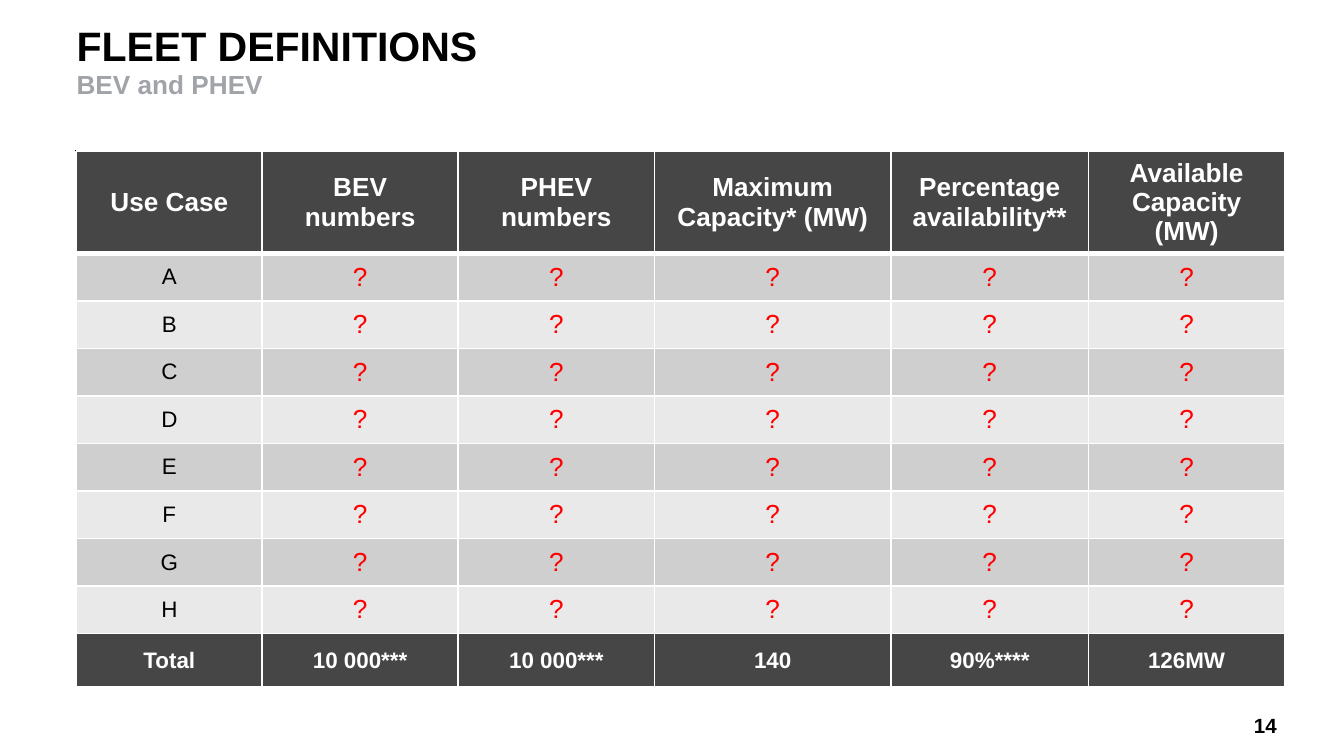
"""Build the fleet definitions slide with its use case table."""
from pptx import Presentation
from pptx.dml.color import RGBColor
from pptx.enum.shapes import MSO_CONNECTOR
from pptx.enum.text import MSO_ANCHOR, MSO_AUTO_SIZE, PP_ALIGN
from pptx.oxml.ns import qn
from pptx.util import Inches, Pt
from lxml.etree import SubElement

BLACK = RGBColor(0x00, 0x00, 0x00)
WHITE = RGBColor(0xFF, 0xFF, 0xFF)
RED = RGBColor(0xFF, 0x00, 0x00)
SUBTITLE_GREY = RGBColor(0xA0, 0xA3, 0xA7)
DARK_GREY = RGBColor(0x46, 0x46, 0x46)
BANDS = (RGBColor(0xCF, 0xCF, 0xCF), RGBColor(0xE9, 0xE9, 0xE9))

HEADINGS = ["Use Case", "BEV numbers", "PHEV numbers", "Maximum Capacity* (MW)",
            "Percentage availability**", "Available Capacity (MW)"]
USE_CASES = "ABCDEFGH"
TOTALS = ["Total", "10 000***", "10 000***", "140", "90%****", "126MW"]
COLUMN_WIDTHS = [1.38, 1.46, 1.46, 1.76, 1.47, 1.46]
TABLE_HEIGHT, HEADING_HEIGHT, TOTAL_HEIGHT = 3.99, 0.76, 0.4
CASE_HEIGHT = (TABLE_HEIGHT - HEADING_HEIGHT - TOTAL_HEIGHT) / len(USE_CASES)


def set_font(font, size, color, bold=True):
    font.name = "Arial"
    font.size = Pt(size)
    font.bold = bold
    font.color.rgb = color


def prepare_frame(frame, anchor):
    frame.margin_left = frame.margin_right = 0
    frame.margin_top = frame.margin_bottom = 0
    frame.word_wrap = True
    frame.auto_size = MSO_AUTO_SIZE.NONE
    frame.vertical_anchor = anchor


def fill_title(title, heading, subtitle):
    title.left, title.top = Inches(0.57), Inches(0.18)
    title.width, title.height = Inches(6.18), Inches(0.79)
    prepare_frame(title.text_frame, MSO_ANCHOR.TOP)
    paragraph = title.text_frame.paragraphs[0]
    paragraph.alignment = PP_ALIGN.LEFT
    paragraph.line_spacing = 0.95
    heading_run = paragraph.add_run()
    heading_run.text = heading
    set_font(heading_run.font, 22, BLACK)
    paragraph.add_line_break()
    subtitle_run = paragraph.add_run()
    subtitle_run.text = subtitle
    set_font(subtitle_run.font, 14, SUBTITLE_GREY)


def add_rule(slide):
    rule = slide.shapes.add_connector(
        MSO_CONNECTOR.STRAIGHT, Inches(9.56), Inches(1.12), Inches(0.56), Inches(1.12))
    rule.line.color.rgb = BLACK
    rule.line.width = Pt(0.5)
    SubElement(rule._element.spPr, qn("a:effectLst"))


def add_page_number(slide, number):
    box = slide.shapes.add_textbox(Inches(8.95), Inches(5.31), Inches(0.55), Inches(0.17))
    prepare_frame(box.text_frame, MSO_ANCHOR.MIDDLE)
    paragraph = box.text_frame.paragraphs[0]
    paragraph.text = number
    paragraph.alignment = PP_ALIGN.RIGHT
    set_font(paragraph.font, 11, BLACK)


def set_borders(cell, top, bottom):
    properties = cell._tc.get_or_add_tcPr()
    for side, width in (("L", 1), ("R", 1), ("T", top), ("B", bottom)):
        border = SubElement(properties, qn(f"a:ln{side}"), w=str(Pt(width)))
        fill = SubElement(border, qn("a:solidFill"))
        SubElement(fill, qn("a:srgbClr"), val=str(WHITE))


def fill_cell(cell, text, fill, size, color, bold, top=1, bottom=1):
    set_borders(cell, top, bottom)
    cell.fill.solid()
    cell.fill.fore_color.rgb = fill
    cell.vertical_anchor = MSO_ANCHOR.MIDDLE
    paragraph = cell.text_frame.paragraphs[0]
    paragraph.text = text
    paragraph.alignment = PP_ALIGN.CENTER
    set_font(paragraph.font, size, color, bold)


def add_fleet_table(slide):
    heights = [HEADING_HEIGHT] + [CASE_HEIGHT] * len(USE_CASES) + [TOTAL_HEIGHT]
    table = slide.shapes.add_table(
        len(heights), len(HEADINGS), Inches(0.57), Inches(9 / 8),
        Inches(sum(COLUMN_WIDTHS)), Inches(TABLE_HEIGHT)).table
    for column, width in zip(table.columns, COLUMN_WIDTHS):
        column.width = Inches(width)
    for row, height in zip(table.rows, heights):
        row.height = Inches(height)

    heading_row, *case_rows, total_row = table.rows
    for cell, heading in zip(heading_row.cells, HEADINGS):
        fill_cell(cell, heading, DARK_GREY, 14, WHITE, True, bottom=3)
    for index, (row, use_case) in enumerate(zip(case_rows, USE_CASES)):
        band = BANDS[index % 2]
        top = 3 if index == 0 else 1
        label, *unknowns = row.cells
        fill_cell(label, use_case, band, 12, BLACK, False, top)
        for cell in unknowns:
            fill_cell(cell, "?", band, 14, RED, False, top)
    for cell, total in zip(total_row.cells, TOTALS):
        fill_cell(cell, total, DARK_GREY, 12, WHITE, True)


def main():
    presentation = Presentation()
    presentation.slide_width = Inches(10)
    presentation.slide_height = Inches(10 * 9 / 16)
    slide = presentation.slides.add_slide(presentation.slide_layouts[5])
    add_page_number(slide, "14")
    add_rule(slide)
    fill_title(slide.shapes.title, "FLEET DEFINITIONS", "BEV and PHEV")
    add_fleet_table(slide)
    presentation.save("out.pptx")


if __name__ == "__main__":
    main()
